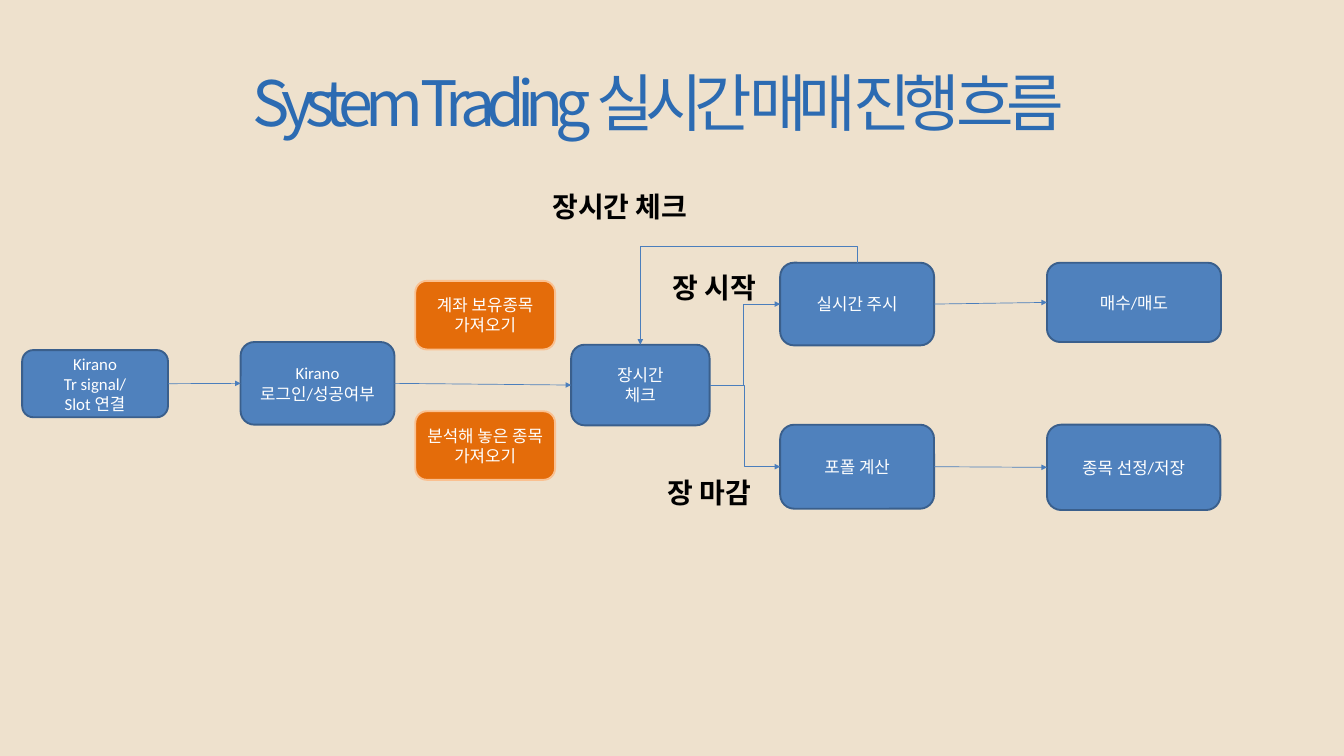
from lxml import etree
from pptx import Presentation
from pptx.dml.color import RGBColor
from pptx.enum import shapes, text
from pptx.oxml import ns
from pptx.util import Inches, Pt

TOP, LEFT, BOTTOM, RIGHT = range(4)


def tint(code):
    return RGBColor.from_string(code)


def sub(node, tag, **attrs):
    return etree.SubElement(node, ns.qn(tag), attrs)


class Flow:
    """Draws flow elements on a slide grid of 20 columns by 11.25 rows."""

    BLUE = ("4F81BD", "3A5F8C")
    ORANGE = ("E46C0A", "FAC090")
    WIRE = "4B7EBC"
    BODY = "Calibri"
    HEAD = "Noto Sans CJK KR"

    def __init__(self, deck):
        self.slide = deck.slides.add_slide(deck.slide_layouts[6])
        self.col = deck.slide_width / 20
        self.row = deck.slide_height / 11.25
        fill = self.slide.background.fill
        fill.solid()
        fill.fore_color.rgb = tint("EEE1CD")

    def grid(self, x, y, w, h):
        return [round(n) for n in (x * self.col, y * self.row, w * self.col, h * self.row)]

    def words(self, frame, lines, size, color, font=BODY, bold=False, track=None):
        frame.word_wrap = True
        for i, line in enumerate(lines):
            para = frame.paragraphs[0] if i == 0 else frame.add_paragraph()
            para.alignment = text.PP_ALIGN.CENTER
            run = para.add_run()
            run.text = line
            run.font.size = Pt(size)
            run.font.bold = bold
            run.font.name = font
            run.font.color.rgb = tint(color)
            props = run.font._element
            sub(props, "a:ea", typeface=self.HEAD)
            if track:
                props.set("spc", str(track * 100))

    def title(self, line, *area):
        frame = self.slide.shapes.add_textbox(*self.grid(*area)).text_frame
        frame.margin_left = frame.margin_right = frame.margin_top = frame.margin_bottom = 0
        frame.vertical_anchor = text.MSO_ANCHOR.MIDDLE
        self.words(frame, [line], 67, "2C6BB2", self.HEAD, track=-9)
        frame.paragraphs[0].line_spacing = 1.09

    def label(self, line, *area):
        frame = self.slide.shapes.add_textbox(*self.grid(*area)).text_frame
        frame.vertical_anchor = text.MSO_ANCHOR.BOTTOM
        self.words(frame, [line], 30, "000000", bold=True)

    def step(self, lines, *area, look=BLUE):
        kind = shapes.MSO_SHAPE.ROUNDED_RECTANGLE
        box = self.slide.shapes.add_shape(kind, *self.grid(*area))
        box.shadow.inherit = False
        box.fill.solid()
        box.fill.fore_color.rgb = tint(look[0])
        box.line.color.rgb = tint(look[1])
        box.line.width = Pt(2)
        box.text_frame.vertical_anchor = text.MSO_ANCHOR.MIDDLE
        self.words(box.text_frame, lines, 18, "FFFFFF")
        return box

    def wire(self, start, end, kind, sides):
        line = self.slide.shapes.add_connector(kind, 0, 0, 0, 0)
        line.begin_connect(start, sides[0])
        line.end_connect(end, sides[1])
        line.line.color.rgb = tint(self.WIRE)
        line.line.width = Pt(0.75)
        sub(line.line._get_or_add_ln(), "a:tailEnd", type="triangle")
        sub(line._element.spPr, "a:effectLst")
        return line

    def arrow(self, start, end):
        self.wire(start, end, shapes.MSO_CONNECTOR.STRAIGHT, (RIGHT, LEFT))

    def elbow(self, start, end, bend, sides=(RIGHT, LEFT)):
        line = self.wire(start, end, shapes.MSO_CONNECTOR.ELBOW, sides)
        guides = line._element.spPr.find(".//" + ns.qn("a:avLst"))
        sub(guides, "a:gd", name="adj1", fmla=f"val {round(bend * 100000)}")
        return line

    def loop(self, start, end, bend):
        line = self.elbow(start, end, bend, (TOP, TOP))
        x, y, w, h = line.left, line.top, line.width, line.height
        line.left, line.top = x + (w - h) // 2, y + (h - w) // 2
        line.width, line.height = h, w
        frame = line._element.spPr.find(ns.qn("a:xfrm"))
        for key, value in (("rot", "16200000"), ("flipH", "1"), ("flipV", "1")):
            frame.set(key, value)


def main():
    deck = Presentation()
    deck.slide_width, deck.slide_height = Inches(20), Inches(11.25)
    flow = Flow(deck)
    flow.title("System Trading 실시간 매매 진행 흐름", 1.83, -0.04, 15.92, 3)

    link = flow.step(["Kirano", "Tr signal/", "Slot 연결"], 0.33, 5.21, 2.17, 1)
    login = flow.step(["Kirano", "로그인/성공여부"], 3.58, 5.09, 2.29, 1.23)
    check = flow.step(["장시간", "체크"], 8.5, 5.13, 2.06, 1.2)
    watch = flow.step(["실시간 주시"], 11.61, 3.91, 2.29, 1.23)
    trade = flow.step(["매수/매도"], 15.58, 3.91, 2.59, 1.18)
    count = flow.step(["포폴 계산"], 11.61, 6.32, 2.29, 1.25)
    save = flow.step(["종목 선정/저장"], 15.58, 6.32, 2.58, 1.27)
    for line, y in (("계좌 보유종목 가져오기", 4.18), ("분석해 놓은 종목 가져오기", 6.12)):
        flow.step([line], 6.18, y, 2.08, 1.02, look=flow.ORANGE)

    for pair in ((link, login), (login, check), (watch, trade), (count, save)):
        flow.arrow(*pair)
    flow.elbow(check, watch, 0.48)
    flow.elbow(check, count, 0.49)
    flow.loop(watch, check, -0.2)

    flow.label("장시간 체크", 7.89, 2.6, 2.67, 0.77)
    flow.label("장 시작", 9.53, 4.01, 2.19, 0.56)
    flow.label("장 마감", 9.42, 6.97, 2.27, 0.66)
    deck.save("out.pptx")


if __name__ == "__main__":
    main()
